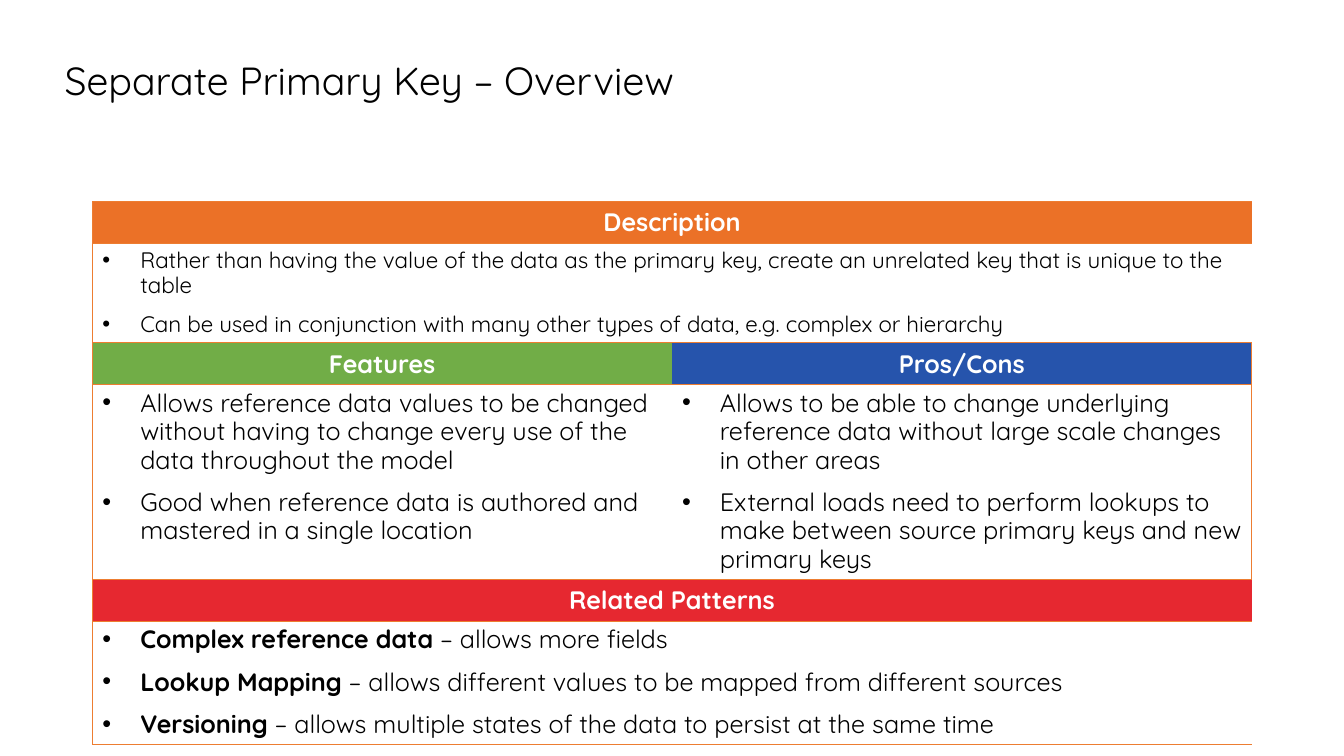
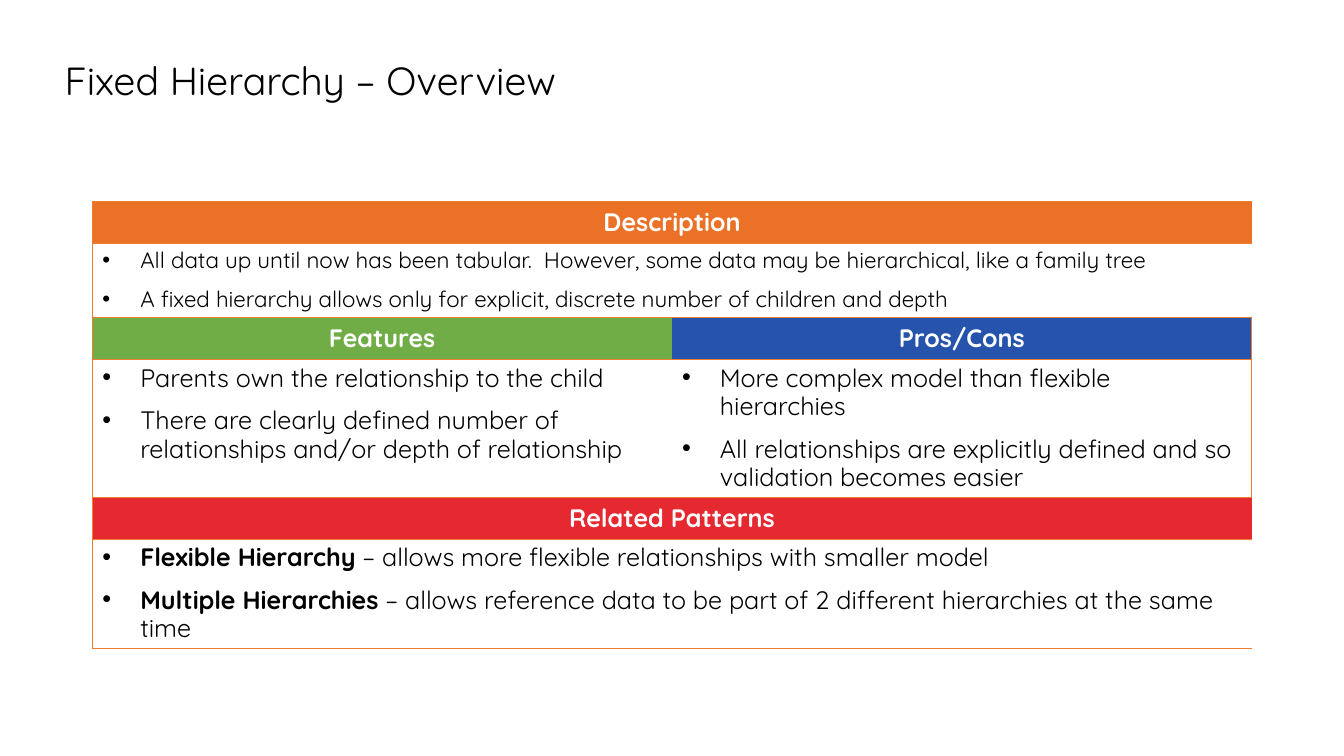
from dataclasses import dataclass

from lxml import etree
from pptx import Presentation
from pptx.dml.color import RGBColor
from pptx.enum.text import MSO_ANCHOR, MSO_AUTO_SIZE, PP_ALIGN
from pptx.oxml.ns import qn
from pptx.util import Inches, Pt

CENTER, LEFT = PP_ALIGN.CENTER, PP_ALIGN.LEFT
MIDDLE = MSO_ANCHOR.MIDDLE
NO_AUTOFIT = MSO_AUTO_SIZE.NONE

TITLE_ONLY = 5
GRID_COLUMNS, GRID_ROWS = 160, 90
TITLE_AREA = (6.5, 6.5, 127, 6.7)
TABLE_AREA = (11, 24, 138, 29.4)
BULLET_INDENT = 4.5


@dataclass(frozen=True)
class Theme:
    font: str = "Quicksand"
    bullet_font: str = "Arial"
    ink: str = "000000"
    paper: str = "FFFFFF"
    rule: str = "ED7D31"
    description: str = "EB7127"
    features: str = "71AD47"
    pros_cons: str = "2654AC"
    related: str = "E62830"
    title_size: int = 28
    heading_size: int = 18
    summary_size: int = 16
    body_size: int = 18
    rule_width: float = 0.5
    line_spacing: float = 0.9
    item_gap: int = 10


@dataclass(frozen=True)
class Pattern:
    name: str
    description: tuple
    features: tuple
    pros_cons: tuple
    related: tuple


PATTERNS = (
    Pattern(
        name="Separate Primary Key",
        description=(
            "Rather than having the value of the data as the primary key, create an unrelated key that is unique to the table",
            "Can be used in conjunction with many other types of data, e.g. complex or hierarchy",
        ),
        features=(
            "Allows reference data values to be changed without having to change every use of the data throughout the model",
            "Good when reference data is authored and mastered in a single location",
        ),
        pros_cons=(
            "Allows to be able to change underlying reference data without large scale changes in other areas",
            "External loads need to perform lookups to make between source primary keys and new primary keys",
        ),
        related=(
            ("Complex reference data", "allows more fields"),
            ("Lookup Mapping", "allows different values to be mapped from different sources"),
            ("Versioning", "allows multiple states of the data to persist at the same time"),
        ),
    ),
    Pattern(
        name="Fixed Hierarchy",
        description=(
            "All data up until now has been tabular.  However, some data may be hierarchical, like a family tree",
            "A fixed hierarchy allows only for explicit, discrete number of children and depth",
        ),
        features=(
            "Parents own the relationship to the child",
            "There are clearly defined number of relationships and/or depth of relationship",
        ),
        pros_cons=(
            "More complex model than flexible hierarchies",
            "All relationships are explicitly defined and so validation becomes easier",
        ),
        related=(
            ("Flexible Hierarchy", "allows more flexible relationships with smaller model"),
            ("Multiple Hierarchies", "allows reference data to be part of 2 different hierarchies at the same time"),
        ),
    ),
)


class Deck:
    def __init__(self, theme):
        self.theme = theme
        self.presentation = Presentation()
        self.presentation.slide_width = Inches(13.33)
        self.presentation.slide_height = Inches(7.5)
        self.slide = None

    def across(self, columns):
        return round(self.presentation.slide_width * columns / GRID_COLUMNS)

    def down(self, rows):
        return round(self.presentation.slide_height * rows / GRID_ROWS)

    def place(self, area):
        left, top, width, height = area
        return self.across(left), self.down(top), self.across(width), self.down(height)

    def style(self, run, size, color, bold=False):
        run.font.name = self.theme.font
        run.font.size = Pt(size)
        run.font.bold = bold
        run.font.color.rgb = RGBColor.from_string(color)

    def add_slide(self, heading):
        layout = self.presentation.slide_layouts[TITLE_ONLY]
        self.slide = self.presentation.slides.add_slide(layout)
        title = self.slide.shapes.title
        title.left, title.top, title.width, title.height = self.place(TITLE_AREA)
        frame = title.text_frame
        frame.text = heading
        frame.word_wrap = True
        frame.auto_size = NO_AUTOFIT
        frame.vertical_anchor = MIDDLE
        paragraph = frame.paragraphs[0]
        paragraph.alignment = LEFT
        paragraph.line_spacing = self.theme.line_spacing
        self.style(paragraph.runs[0], self.theme.title_size, self.theme.ink)

    def border(self, cell, side, visible):
        properties = cell._tc.get_or_add_tcPr()
        line = etree.SubElement(properties, qn(f"a:ln{side}"), w=str(Pt(self.theme.rule_width)))
        if visible:
            fill = etree.SubElement(line, qn("a:solidFill"))
            etree.SubElement(fill, qn("a:srgbClr"), val=self.theme.rule)
        else:
            etree.SubElement(line, qn("a:noFill"))

    def fill(self, cell, color):
        cell.fill.solid()
        cell.fill.fore_color.rgb = RGBColor.from_string(color)

    def heading(self, cell, text, color):
        self.fill(cell, color)
        cell.text_frame.text = text
        paragraph = cell.text_frame.paragraphs[0]
        paragraph.alignment = CENTER
        self.style(paragraph.runs[0], self.theme.heading_size, self.theme.paper, True)

    def bullets(self, cell, items, size):
        frame = cell.text_frame
        for index, item in enumerate(items):
            paragraph = frame.add_paragraph() if index else frame.paragraphs[0]
            self.bullet(paragraph)
            paragraph.line_spacing = self.theme.line_spacing
            paragraph.space_before = Pt(self.theme.item_gap if index else 0)
            if isinstance(item, tuple):
                term, explanation = item
                parts = ((term, True), (f" – {explanation}", False))
            else:
                parts = ((item, False),)
            for text, bold in parts:
                run = paragraph.add_run()
                run.text = text
                self.style(run, size, self.theme.ink, bold)

    def bullet(self, paragraph):
        properties = paragraph._p.get_or_add_pPr()
        indent = self.across(BULLET_INDENT)
        properties.set("marL", str(indent))
        properties.set("indent", str(-indent))
        etree.SubElement(properties, qn("a:buFont"), typeface=self.theme.bullet_font)
        etree.SubElement(properties, qn("a:buChar"), char="•")

    def overview_table(self, pattern):
        theme = self.theme
        sections = (
            (("Description", theme.description, pattern.description, theme.summary_size),),
            (
                ("Features", theme.features, pattern.features, theme.body_size),
                ("Pros/Cons", theme.pros_cons, pattern.pros_cons, theme.body_size),
            ),
            (("Related Patterns", theme.related, pattern.related, theme.body_size),),
        )
        row_count = 2 * len(sections)
        table = self.slide.shapes.add_table(row_count, 2, *self.place(TABLE_AREA)).table
        table.first_row = False
        table.horz_banding = False
        for row in range(row_count):
            for column in range(2):
                cell = table.cell(row, column)
                for side, visible in (("L", column == 0), ("R", column == 1), ("T", True), ("B", True)):
                    self.border(cell, side, visible)
                self.fill(cell, theme.paper)
        for index, section in enumerate(sections):
            heading_row, body_row = 2 * index, 2 * index + 1
            if len(section) == 1:
                for row in (heading_row, body_row):
                    table.cell(row, 0).merge(table.cell(row, 1))
            for column, (label, color, items, size) in enumerate(section):
                self.heading(table.cell(heading_row, column), label, color)
                self.bullets(table.cell(body_row, column), items, size)


def main():
    deck = Deck(Theme())
    for pattern in PATTERNS:
        deck.add_slide(f"{pattern.name} – Overview")
        deck.overview_table(pattern)
    deck.presentation.save("out.pptx")


if __name__ == "__main__":
    main()
